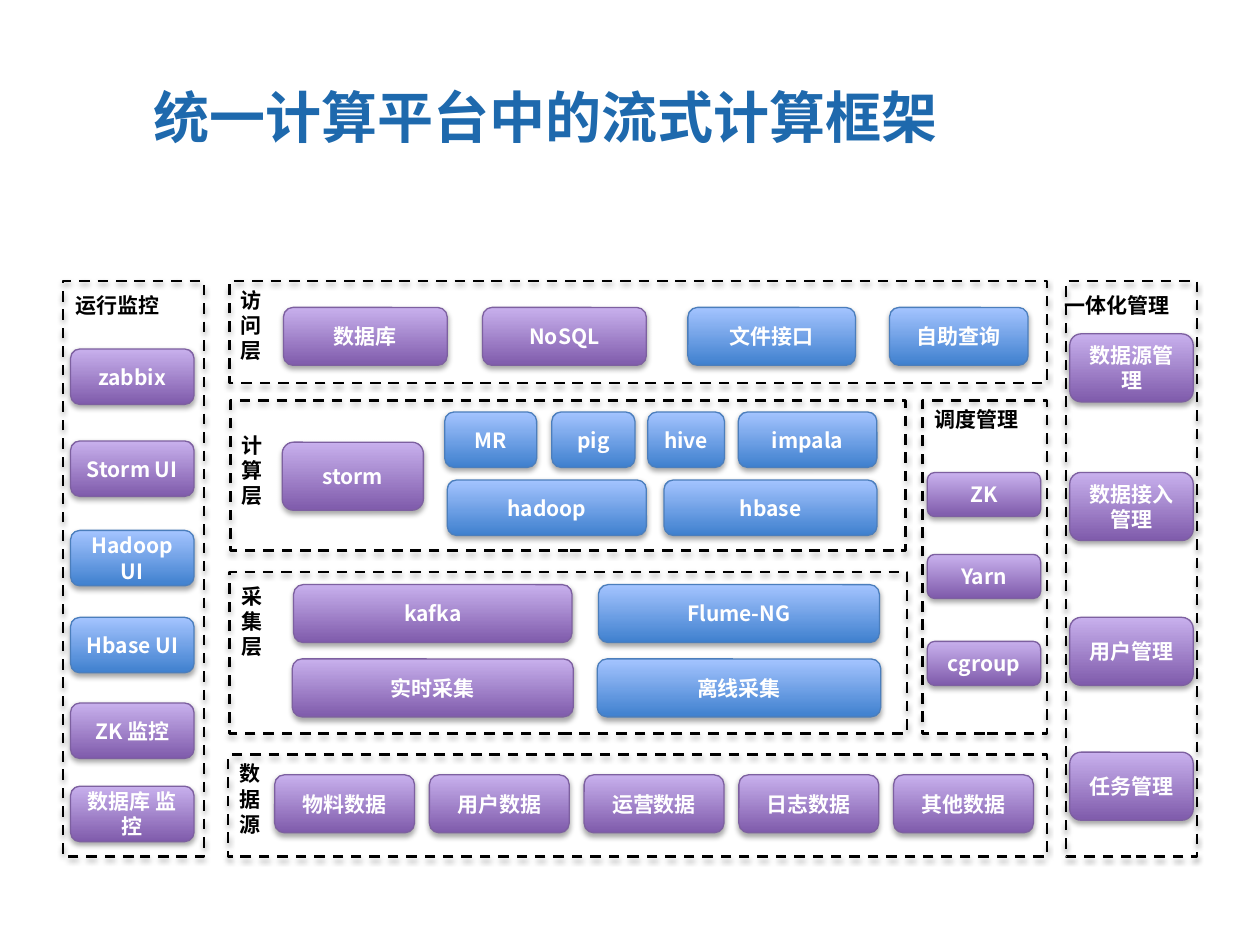
from lxml import etree
from pptx import Presentation
from pptx.dml.color import RGBColor
from pptx.enum.dml import MSO_LINE
from pptx.enum.shapes import MSO_SHAPE as SHAPE
from pptx.enum.text import MSO_ANCHOR as ANCHOR, MSO_AUTO_SIZE as AUTO, PP_ALIGN as ALIGN
from pptx.oxml import parse_xml
from pptx.oxml.ns import nsdecls, qn
from pptx.util import Inches, Pt

FONT = "Noto Sans CJK SC"
# bottom colour, top colour, outline
PURPLE = ("7F5BAB", "C8B0ED", "7D60A0")
BLUE = ("3F80CE", "A4C4FF", "4B7EBC")
SHADOW = (
    f'<a:effectLst {nsdecls("a")}><a:outerShdw blurRad="40000" dist="23000" '
    'dir="5400000" rotWithShape="0"><a:srgbClr val="000000">'
    '<a:alpha val="35000"/></a:srgbClr></a:outerShdw></a:effectLst>'
)

deck = Presentation()
deck.slide_width, deck.slide_height = Inches(10), Inches(7.5)
slide = deck.slides.add_slide(deck.slide_layouts[6])

# The slide is a grid of 100 columns by 75 rows
CELL = deck.slide_width / 100


def write(holder, text, size, color, align):
    frame = holder.text_frame
    frame.word_wrap = True
    frame.text = text
    paragraph = frame.paragraphs[0]
    paragraph.alignment = align
    font = paragraph.font
    font.size, font.bold, font.name = Pt(size), True, FONT
    font.color.rgb = RGBColor.from_string(color)
    defaults = paragraph._p.find(".//" + qn("a:defRPr"))
    etree.SubElement(defaults, qn("a:ea")).set("typeface", FONT)
    return frame


def add_box(kind, place, outline, width):
    box = slide.shapes.add_shape(kind, *(round(n * CELL) for n in place))
    box.shadow.inherit = False
    effects = box._element.spPr.find(qn("a:effectLst"))
    effects.getparent().replace(effects, parse_xml(SHADOW))
    box.line.color.rgb = RGBColor.from_string(outline)
    box.line.width = Pt(width)
    return box


# Title
title = slide.shapes.add_textbox(*(round(n * CELL) for n in (5, 3, 76.7, 12.5)))
write(title, "统一计算平台中的流式计算框架", 32, "1E69AD",
      ALIGN.CENTER).vertical_anchor = ANCHOR.MIDDLE

# Dashed panels: left, top, width, height
panels = [
    (18.2, 22.3, 64.9, 8.1),
    (18.3, 31.8, 53.6, 11.9),
    (18.2, 45.4, 53.8, 12.8),
    (18.1, 59.9, 65, 8.1),
    (73.2, 31.8, 9.9, 26.4),
    (5, 22.3, 11.2, 45.7),
    (84.6, 22.3, 10.4, 45.7),
]
for place in panels:
    panel = add_box(SHAPE.RECTANGLE, place, "000000", 1.5)
    panel.fill.background()
    panel.line.dash_style = MSO_LINE.DASH

# Panel names; the narrow ones run one character to a line
labels = [
    ("访问层", 18.1, 22.3, 5, 7.1),
    ("计算层", 18.2, 33.8, 5, 7.1),
    ("采集层", 18.2, 45.8, 5, 7.1),
    ("数据源", 18, 59.9, 5, 7.1),
    ("调度管理", 73.2, 31.8, 11.4, 3),
    ("运行监控", 5, 22.7, 11.2, 3),
    ("一体化管理", 83.5, 22.7, 13.2, 3),
]
for text, *place in labels:
    label = slide.shapes.add_textbox(*(round(n * CELL) for n in place))
    write(label, text, 12, "000000", ALIGN.LEFT).auto_size = AUTO.SHAPE_TO_FIT_TEXT

# Layers: top, height, then name, colours, left and width of each component
layers = [
    (24.4, 4.6, [("数据库", PURPLE, 22.5, 13), ("NoSQL", PURPLE, 38.3, 13),
                 ("文件接口", BLUE, 54.6, 13.3), ("自助查询", BLUE, 70.6, 11)]),
    (35.1, 5.4, [("storm", PURPLE, 22.4, 11.2)]),
    (32.7, 4.4, [("MR", BLUE, 35.3, 7.3), ("pig", BLUE, 43.8, 6.6),
                 ("hive", BLUE, 51.4, 6.1), ("impala", BLUE, 58.6, 11)]),
    (38.1, 4.4, [("hadoop", BLUE, 35.5, 15.8), ("hbase", BLUE, 52.7, 16.9)]),
    (46.4, 4.6, [("kafka", PURPLE, 23.3, 22.1), ("Flume-NG", BLUE, 47.5, 22.3)]),
    (52.3, 4.6, [("实时采集", PURPLE, 23.2, 22.3), ("离线采集", BLUE, 47.4, 22.5)]),
    (61.5, 4.6, [(name + "数据", PURPLE, 21.8 + 12.28 * i, 11.1)
                 for i, name in enumerate(["物料", "用户", "运营", "日志", "其他"])]),
]
components = [(name, colors, (left, top, width, height))
              for top, height, row in layers
              for name, colors, left, width in row]

# Side stacks: left, width, height, then name, colours and top of each component
stacks = [
    (73.6, 9, 3.5, [("ZK", PURPLE, 37.5), ("Yarn", PURPLE, 44), ("cgroup", PURPLE, 50.9)]),
    (5.6, 9.8, 4.4, [("zabbix", PURPLE, 27.7), ("Storm UI", PURPLE, 35),
                     ("Hadoop UI", BLUE, 42.1), ("Hbase UI", BLUE, 49),
                     ("ZK 监控", PURPLE, 55.8), ("数据库 监控", PURPLE, 62.4)]),
    (84.9, 9.8, 5.4, [("数据源管理", PURPLE, 26.5), ("数据接入管理", PURPLE, 37.5),
                      ("用户管理", PURPLE, 49), ("任务管理", PURPLE, 59.7)]),
]
components += [(name, colors, (left, top, width, height))
               for left, width, height, column in stacks
               for name, colors, top in column]

# Component boxes
for name, (bottom, top, outline), place in components:
    component = add_box(SHAPE.ROUNDED_RECTANGLE, place, outline, 0.75)
    component.fill.gradient()
    component.fill.gradient_angle = 90
    for stop, color in zip(component.fill.gradient_stops, (bottom, top)):
        stop.color.rgb = RGBColor.from_string(color)
    write(component, name, 12, "FFFFFF", ALIGN.CENTER).vertical_anchor = ANCHOR.MIDDLE

deck.save("out.pptx")
